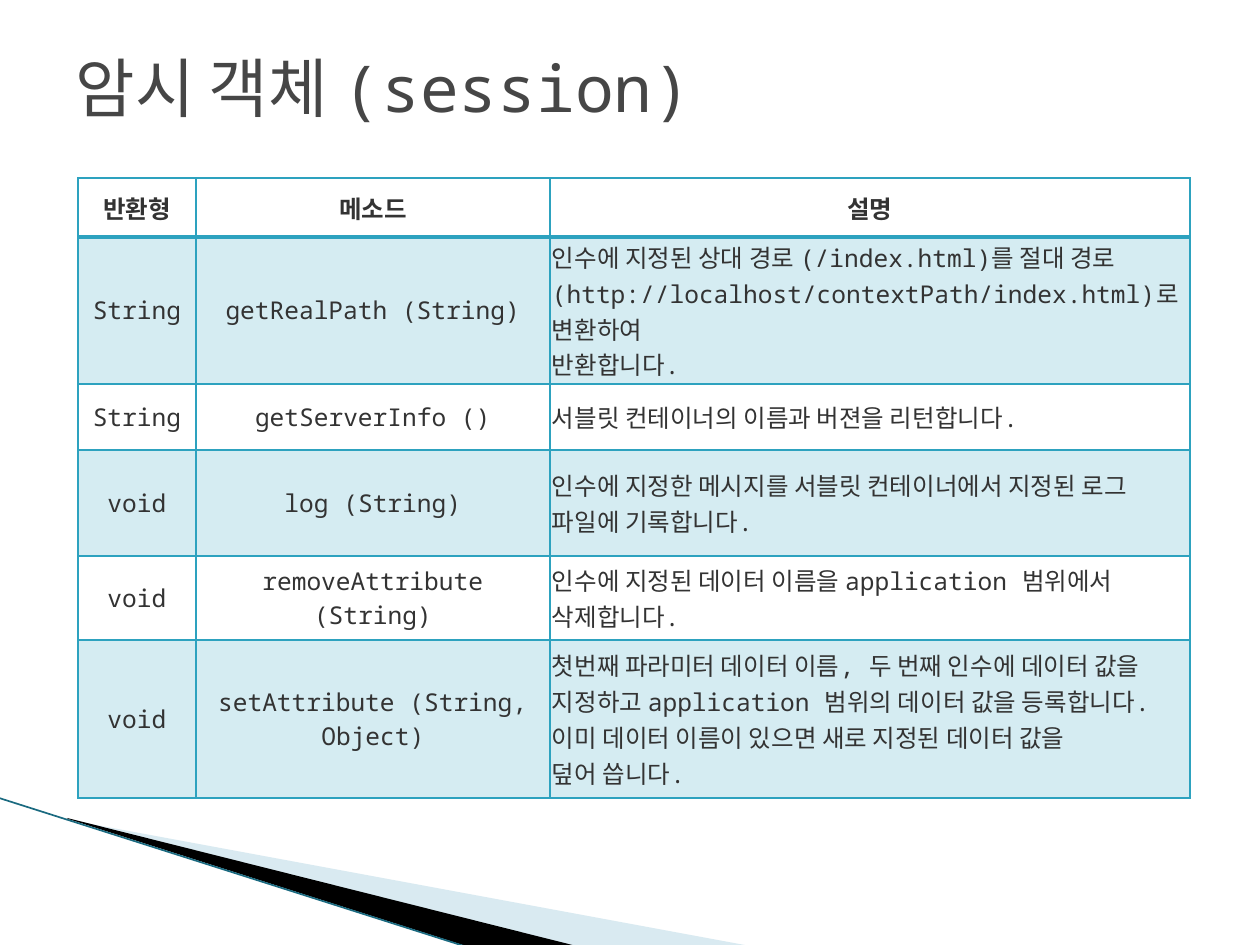
from lxml import etree
from pptx import Presentation
from pptx.dml.color import RGBColor
from pptx.enum.shapes import MSO_CONNECTOR
from pptx.enum.text import MSO_ANCHOR, PP_ALIGN
from pptx.oxml.ns import qn
from pptx.util import Emu, Pt

PX_PER_INCH = 126
EMU_PER_PX = 914400 / PX_PER_INCH
TITLE_ONLY = 5
FONT = "Noto Sans Mono"
LEFT, CENTER = PP_ALIGN.LEFT, PP_ALIGN.CENTER
MIDDLE = MSO_ANCHOR.MIDDLE
STRAIGHT = MSO_CONNECTOR.STRAIGHT

TITLE_GREY = RGBColor(0x46, 0x46, 0x46)
TEXT_GREY = RGBColor(0x33, 0x33, 0x33)
TEAL = RGBColor(0x2D, 0xA2, 0xBF)
DARK_TEAL = RGBColor(0x1A, 0x6A, 0x80)
PALE_BLUE = RGBColor(0xA0, 0xCB, 0xDC)
BLACK = RGBColor(0x00, 0x00, 0x00)

HEADER = ("반환형", "메소드", "설명")
METHODS = [
    ("String", "getRealPath (String)",
     "인수에 지정된 상대 경로 (/index.html)를 절대 경로\n"
     "(http://localhost/contextPath/index.html)로 변환하여\n"
     "반환합니다."),
    ("String", "getServerInfo ()", "서블릿 컨테이너의 이름과 버젼을 리턴합니다."),
    ("void", "log (String)",
     "인수에 지정한 메시지를 서블릿 컨테이너에서 지정된 로그 파일에 기록합니다."),
    ("void", "removeAttribute (String)",
     "인수에 지정된 데이터 이름을 application 범위에서 삭제합니다."),
    ("void", "setAttribute (String, Object)",
     "첫번째 파라미터 데이터 이름, 두 번째 인수에 데이터 값을 지정하고 "
     "application 범위의 데이터 값을 등록합니다. \n"
     "이미 데이터 이름이 있으면 새로 지정된 데이터 값을\n"
     "덮어 씁니다."),
]
COLUMN_WIDTHS = (118, 354, 640)
ROW_HEIGHTS = (59, 118, 66, 106, 84, 158)


def px(value):
    return Emu(round(value * EMU_PER_PX))


class SlideBuilder:
    def __init__(self, slide):
        self.slide = slide

    def style(self, paragraph, size, color, align=LEFT, bold=False):
        paragraph.alignment = align
        font = paragraph.font
        font.name, font.size, font.bold = FONT, Pt(size), bold
        font.color.rgb = color

    def fill(self, target, color, opacity=100):
        target.fill.solid()
        target.fill.fore_color.rgb = color
        if opacity < 100:
            for clr in target.fill._xPr.iter(qn("a:srgbClr")):
                etree.SubElement(clr, qn("a:alpha"), val=str(opacity * 1000))

    def title(self, text, left, top, width, height):
        title = self.slide.shapes.title
        title.left, title.top = px(left), px(top)
        title.width, title.height = px(width), px(height)
        frame = title.text_frame
        frame.text = text
        frame.vertical_anchor = MIDDLE
        self.style(frame.paragraphs[0], 36.9, TITLE_GREY)

    def wedge(self, points, color, opacity=100):
        start, *rest = [(px(x), px(y)) for x, y in points]
        builder = self.slide.shapes.build_freeform(*start)
        builder.add_line_segments(rest, close=True)
        shape = builder.convert_to_shape()
        shape.shadow.inherit = False
        shape.line.fill.background()
        self.fill(shape, color, opacity)

    def line(self, start, end, color, width):
        ends = [px(value) for value in start + end]
        connector = self.slide.shapes.add_connector(STRAIGHT, *ends)
        connector.line.color.rgb = color
        connector.line.width = Pt(width)
        etree.SubElement(connector._element.spPr, qn("a:effectLst"))

    def borders(self, cell, color, bottom_width):
        properties = cell._tc.get_or_add_tcPr()
        widths = (("lnL", 1), ("lnR", 1), ("lnT", 1), ("lnB", bottom_width))
        for position, (side, width) in enumerate(widths):
            edge = etree.Element(qn("a:" + side), w=str(Pt(width)))
            solid = etree.SubElement(edge, qn("a:solidFill"))
            etree.SubElement(solid, qn("a:srgbClr"), val=str(color))
            properties.insert(position, edge)

    def cell(self, cell, text, align, is_header, is_shaded):
        cell.text = text
        cell.vertical_anchor = MIDDLE
        cell.margin_left = cell.margin_right = px(2)
        cell.margin_top = cell.margin_bottom = px(2)
        for paragraph in cell.text_frame.paragraphs:
            self.style(paragraph, 14, TEXT_GREY, align, is_header)
        if is_shaded:
            self.fill(cell, TEAL, 20)
        else:
            cell.fill.background()
        self.borders(cell, TEAL, 2 if is_header else 1)

    def table(self, rows, left, top, widths, heights):
        table = self.slide.shapes.add_table(
            len(rows), len(widths), px(left), px(top),
            px(sum(widths)), px(sum(heights))).table
        table.first_row = table.horz_banding = False
        for column, width in zip(table.columns, widths):
            column.width = px(width)
        for row, height in zip(table.rows, heights):
            row.height = px(height)
        for r, texts in enumerate(rows):
            for c, text in enumerate(texts):
                is_description = r > 0 and c == len(widths) - 1
                self.cell(table.cell(r, c), text,
                          LEFT if is_description else CENTER,
                          is_header=r == 0, is_shaded=r % 2 == 1)


def main():
    deck = Presentation()
    deck.slide_width, deck.slide_height = px(1260), px(945)
    page = SlideBuilder(deck.slides.add_slide(deck.slide_layouts[TITLE_ONLY]))

    # Corner decoration
    page.wedge([(69, 820), (750, 946), (575, 946), (69, 819)], PALE_BLUE, 40)
    page.wedge([(67, 818), (576, 946), (469, 947), (68, 819)], BLACK)
    page.line((-1, 798), (467, 947), DARK_TEAL, 0.95)

    # Title
    page.title("암시 객체 (session)", 63, 38, 1134, 97)

    # Method reference
    page.table([HEADER] + METHODS, 78, 178, COLUMN_WIDTHS, ROW_HEIGHTS)

    deck.save("out.pptx")


if __name__ == "__main__":
    main()
